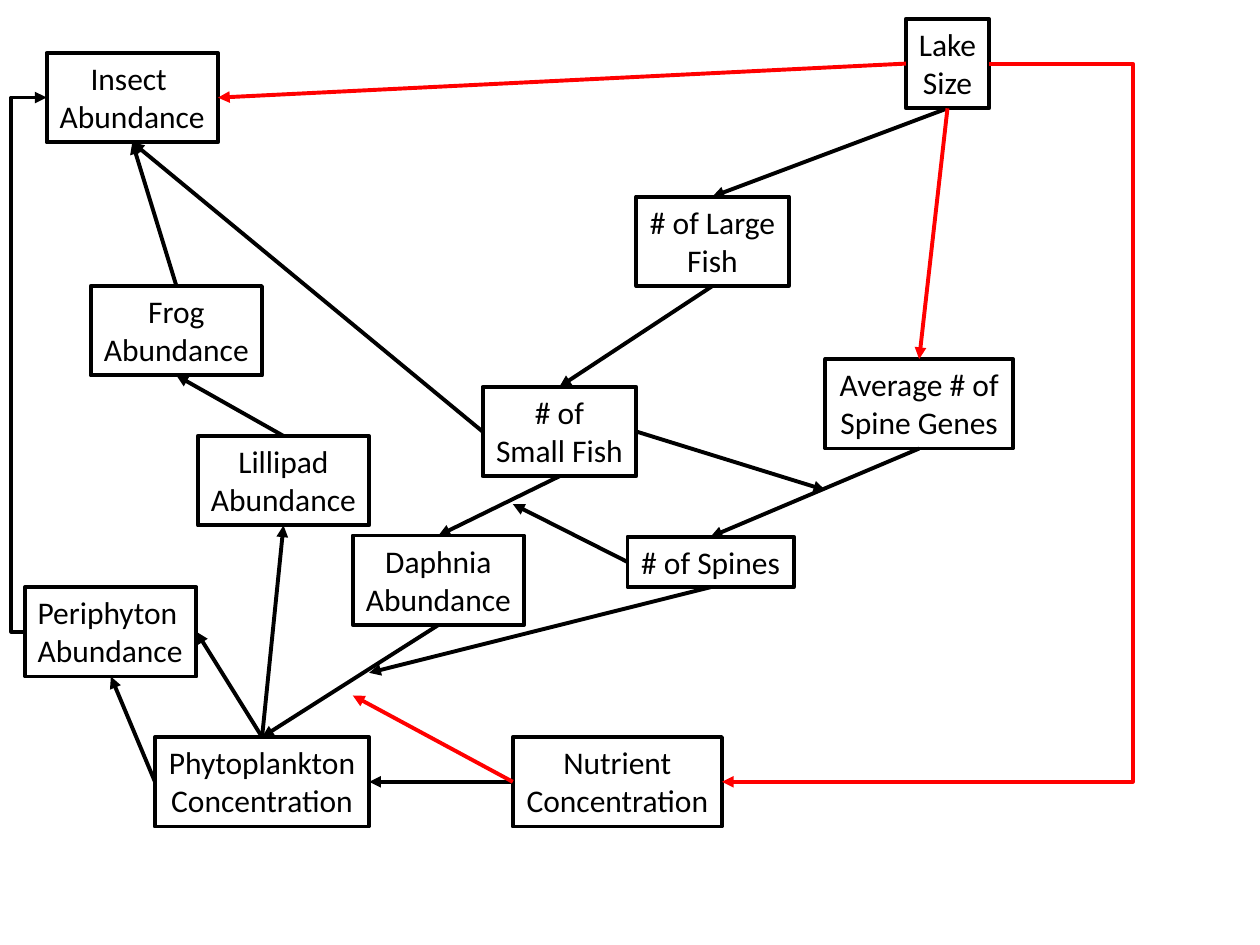
import pptx
import pptx.util
import pptx.dml.color
import pptx.enum.shapes
import pptx.enum.text
import pptx.oxml.ns
import lxml.etree

Inches = pptx.util.Inches
Pt = pptx.util.Pt
Kind = pptx.enum.shapes.MSO_CONNECTOR
Align = pptx.enum.text.PP_ALIGN
COLORS = {"ink": "000000", "red": "FF0000"}
TALL = 0.71
TOP, LEFT, BASE, RIGHT = range(4)

NODES = {
    "spines": (4.98, 4.26, 1.32, 0.4, ["# of Spines"]),
    "genes": (6.55, 2.85, 1.49, TALL, ["Average # of", "Spine Genes"]),
    "small": (3.83, 3.07, 1.22, TALL, ["# of", "Small Fish"]),
    "phyto": (1.23, 5.85, 1.7, TALL, ["Phytoplankton", "Concentration"]),
    "food": (4.07, 5.85, 1.66, TALL, ["Nutrient", "Concentration"]),
    "lake": (7.19, 0.15, 0.66, TALL, ["Lake", "Size"]),
    "large": (5.05, 1.56, 1.21, TALL, ["# of Large", "Fish"]),
    "daphnia": (2.8, 4.25, 1.36, TALL, ["Daphnia", "Abundance"]),
    "lily": (1.57, 3.46, 1.36, TALL, ["Lillipad", "Abundance"]),
    "insect": (0.37, 0.42, 1.36, TALL, ["Insect ", "Abundance"]),
    "frog": (0.72, 2.27, 1.36, TALL, ["Frog", "Abundance"]),
    "peri": (0.2, 4.66, 1.36, TALL, ["Periphyton", "Abundance"]),
}

LINKS = [
    ("lake", BASE, "large", TOP, "ink"),
    ("phyto", TOP, "lily", BASE, "ink"),
    ("daphnia", BASE, "phyto", TOP, "ink"),
    ("food", LEFT, "phyto", RIGHT, "ink"),
    ("genes", BASE, "spines", TOP, "ink"),
    ("small", BASE, "daphnia", TOP, "ink"),
    ("lily", TOP, "frog", BASE, "ink"),
    ("frog", TOP, "insect", BASE, "ink"),
    ("small", LEFT, "insect", BASE, "ink"),
    ("large", BASE, "small", TOP, "ink"),
    ("phyto", TOP, "peri", RIGHT, "ink"),
    ("phyto", LEFT, "peri", BASE, "ink"),
    ("lake", LEFT, "insect", RIGHT, "red"),
    ("lake", BASE, "genes", TOP, "red"),
]

EFFECTS = [
    ("spines", BASE, (2.93, 5.34), "ink"),
    ("spines", LEFT, (4.07, 4), "ink"),
    ("food", LEFT, (2.8, 5.52), "red"),
    ("small", RIGHT, (6.55, 3.89), "ink"),
]

BENDS = [
    ("peri", LEFT, "insect", LEFT, 0.09, "ink"),
    ("lake", RIGHT, "food", RIGHT, 8.99, "red"),
]


def paint(line, color):
    line.color.rgb = pptx.dml.color.RGBColor.from_string(COLORS[color])
    line.width = Pt(2.25)


def site(name, side):
    x, y, w, h, _ = NODES[name]
    return [(x + w / 2, y), (x, y + h / 2),
            (x + w / 2, y + h), (x + w, y + h / 2)][side]


def add_node(slide, left, top, name):
    x, y, w, h, lines = NODES[name]
    box = slide.shapes.add_textbox(
        Inches(left + x), Inches(top + y), Inches(w), Inches(h))
    paint(box.line, "ink")
    frame = box.text_frame
    frame.word_wrap = False
    frame.auto_size = pptx.enum.text.MSO_AUTO_SIZE.SHAPE_TO_FIT_TEXT
    frame.text = "\n".join(lines)
    for para in frame.paragraphs:
        para.alignment = Align.LEFT if name == "peri" else Align.CENTER
        para.font.name = "Calibri"
        para.font.size = Pt(18)
        para.font.color.rgb = pptx.dml.color.RGBColor.from_string(
            COLORS["ink"])
    return box


def add_arrow(slide, left, top, start, end, color, lane=None):
    kind = Kind.STRAIGHT if lane is None else Kind.ELBOW
    link = slide.shapes.add_connector(
        kind, Inches(left + start[0]), Inches(top + start[1]),
        Inches(left + end[0]), Inches(top + end[1]))
    paint(link.line, color)
    tag = pptx.oxml.ns.qn
    head = lxml.etree.SubElement(
        link.line._get_or_add_ln(), tag("a:tailEnd"))
    head.set("type", "triangle")
    props = link._element.spPr
    lxml.etree.SubElement(props, tag("a:effectLst"))
    if lane is not None:
        ratio = (lane - start[0]) / (end[0] - start[0])
        shape = props.find(tag("a:prstGeom"))
        guides = shape.find(tag("a:avLst"))
        guide = lxml.etree.SubElement(guides, tag("a:gd"))
        guide.set("name", "adj1")
        guide.set("fmla", f"val {round(ratio * 100000)}")
    return link


def add_web(slide, left, top):
    boxes = {name: add_node(slide, left, top, name) for name in NODES}
    for a, out, b, into, color in LINKS:
        link = add_arrow(slide, left, top, site(a, out), site(b, into), color)
        link.begin_connect(boxes[a], out)
        link.end_connect(boxes[b], into)
    for a, out, end, color in EFFECTS:
        link = add_arrow(slide, left, top, site(a, out), end, color)
        link.begin_connect(boxes[a], out)
    for a, out, b, into, lane, color in BENDS:
        add_arrow(slide, left, top, site(a, out), site(b, into), color, lane)


def main():
    deck = pptx.Presentation()
    deck.slide_width = Inches(10)
    deck.slide_height = Inches(7.5)
    slide = deck.slides.add_slide(deck.slide_layouts[6])
    add_web(slide, 0, 0)
    deck.save("out.pptx")


main()
